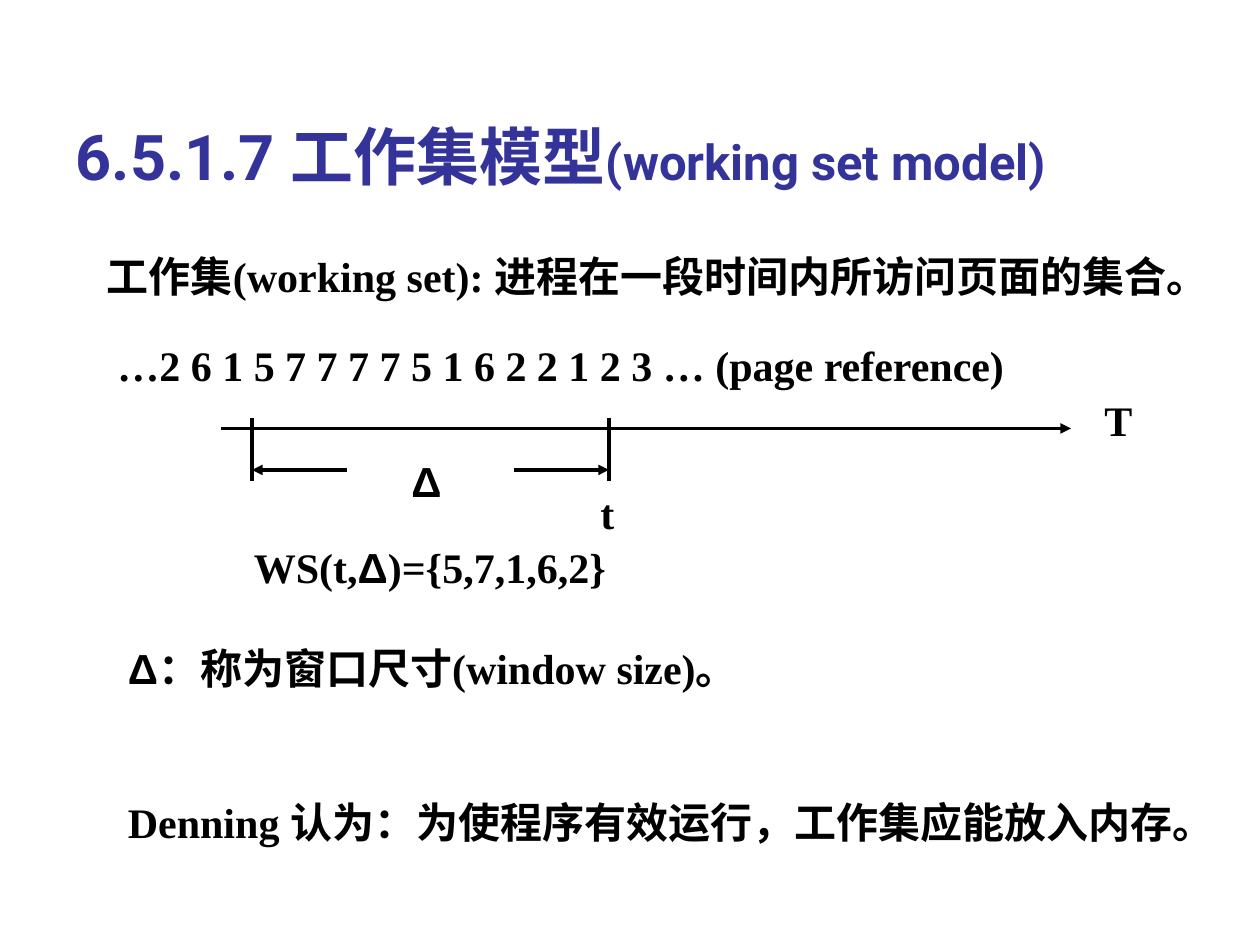
from dataclasses import dataclass

from lxml.etree import SubElement
from pptx import Presentation
from pptx.dml.color import RGBColor
from pptx.enum.shapes import MSO_CONNECTOR
from pptx.enum.text import MSO_ANCHOR, MSO_AUTO_SIZE, PP_ALIGN
from pptx.oxml.ns import qn
from pptx.slide import Slide
from pptx.util import Inches, Pt

BLACK = RGBColor(0x00, 0x00, 0x00)
INDIGO = RGBColor(0x33, 0x33, 0x99)
SERIF, SANS, HEADING = "Times New Roman", "Arial", "Roboto"
UNIT = Inches(1) / 12
AXIS_ROW, SPAN_ROW = 40.8, 44.75
WINDOW_START, WINDOW_END = 24, 58


def grid(*cells):
    return [round(cell * UNIT) for cell in cells]


@dataclass
class SlideBuilder:
    """Draws styled elements on a page of 120 columns by 90 rows."""

    page: Slide
    color: RGBColor = BLACK
    size: float = 24

    def add_span(self, para, text, font=SERIF, size=None, color=None):
        span = para.add_run()
        span.text = text
        span.font.name = font
        span.font.size = Pt(size or self.size)
        span.font.bold = True
        span.font.color.rgb = color or self.color

    def title(self, left, top, width, height, spans):
        box = self.page.shapes.title
        box.left, box.top, box.width, box.height = grid(left, top, width, height)
        frame = box.text_frame
        frame.auto_size = MSO_AUTO_SIZE.NONE
        frame.vertical_anchor = MSO_ANCHOR.BOTTOM
        para = frame.paragraphs[0]
        para.alignment = PP_ALIGN.LEFT
        for text, size in spans:
            self.add_span(para, text, HEADING, size, INDIGO)

    def text(self, left, top, width, height, *paragraphs, gap=0, indent=0):
        box = self.page.shapes.add_textbox(*grid(left, top, width, height))
        frame = box.text_frame
        frame.word_wrap = True
        frame.auto_size = MSO_AUTO_SIZE.SHAPE_TO_FIT_TEXT
        for index, spans in enumerate(paragraphs):
            para = frame.add_paragraph() if index else frame.paragraphs[0]
            if index:
                para.space_before = Pt(gap)
            if indent:
                para._p.get_or_add_pPr().set("indent", str(grid(indent)[0]))
            for span in spans:
                self.add_span(para, *span)

    def line(self, start, end, width=2, arrow=True):
        line = self.page.shapes.add_connector(
            MSO_CONNECTOR.STRAIGHT, *grid(*start, *end))
        line.line.color.rgb = self.color
        line.line.width = Pt(width)
        if arrow:
            SubElement(line.line._get_or_add_ln(), qn("a:tailEnd"), type="triangle")
        SubElement(line._element.spPr, qn("a:effectLst"))


def main():
    deck = Presentation()
    deck.slide_width, deck.slide_height = Inches(10), Inches(7.5)
    slide = SlideBuilder(deck.slides.add_slide(deck.slide_layouts[5]))

    slide.title(6, 4, 107, 15,
                [("6.5.1.7 工作集模型", 36), ("(working set model)", 28)])
    slide.text(8, 23.25, 106, 10.75,
               [("工作集(working set): 进程在一段时间内所访问页面的集合。",)], indent=1)
    slide.text(10, 31.75, 101, 6,
               [("…2 6 1 5 7 7 7 7 5 1 6 2 2 1 2 3 … (page reference)",)])

    slide.line((21, AXIS_ROW), (102, AXIS_ROW))
    for edge, inner in ((WINDOW_START, 33), (WINDOW_END, 49)):
        slide.line((edge, AXIS_ROW - 1), (edge, AXIS_ROW + 5), 1.75, arrow=False)
        slide.line((inner, SPAN_ROW), (edge, SPAN_ROW))

    slide.text(104, 37, 7, 6, [("T",)])
    slide.text(38, 42.8, 7, 6, [("Δ", SANS)])
    slide.text(56, 45.8, 6, 6, [("t",)])
    slide.text(23, 51, 36, 6, [("WS(t,",), ("Δ", SANS), (")={5,7,1,6,2}",)])
    slide.text(11, 60.6, 104.75, 20.6,
               [("Δ", SANS), ("：称为窗口尺寸(window size)。",)],
               [("Denning 认为：为使程序有效运行，工作集应能放入内存。",)], gap=59)

    deck.save("out.pptx")


if __name__ == "__main__":
    main()
